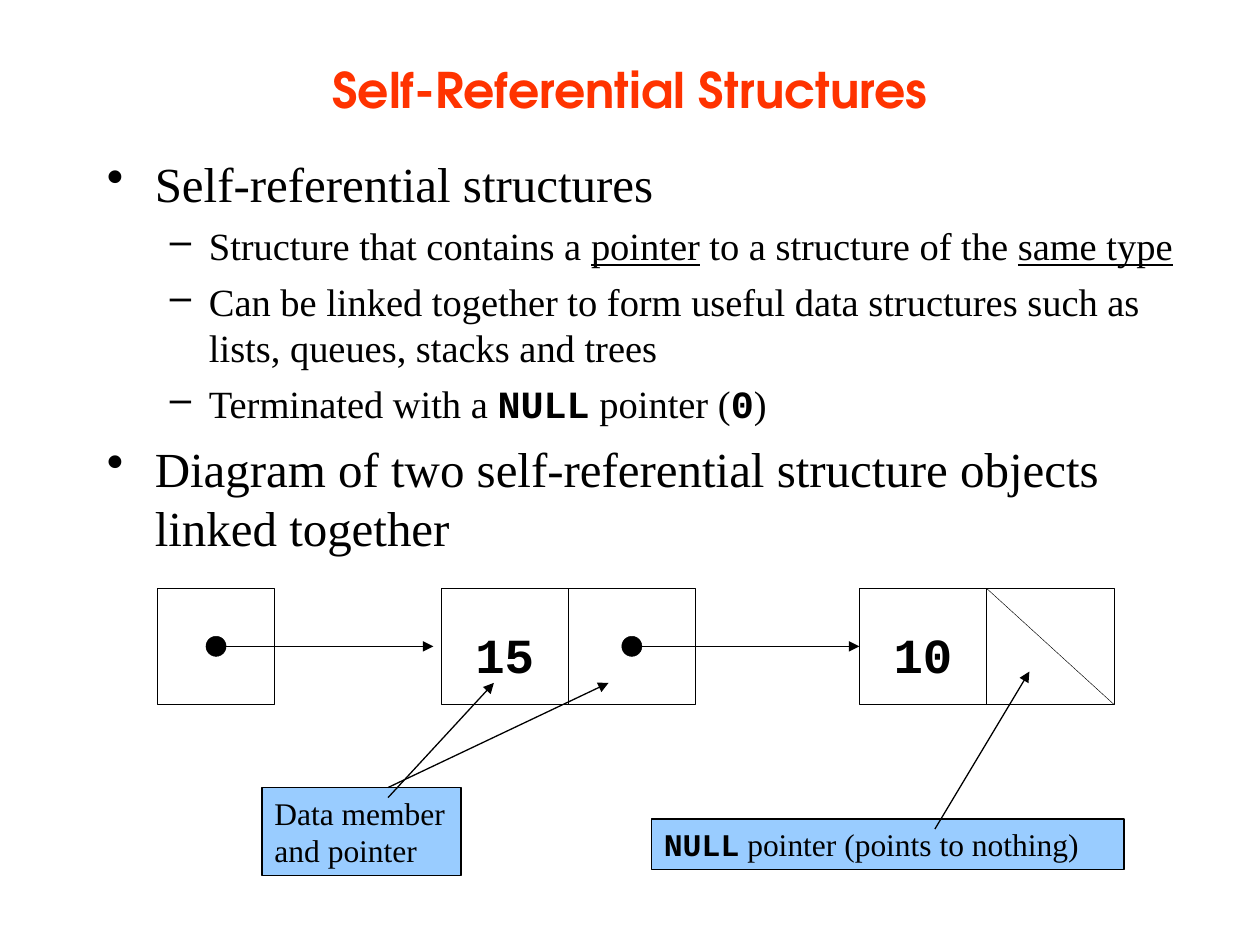
from lxml import etree
from pptx import Presentation
from pptx.dml.color import RGBColor
from pptx.enum.shapes import MSO_CONNECTOR, MSO_SHAPE
from pptx.enum.text import MSO_ANCHOR, PP_ALIGN
from pptx.oxml.ns import qn
from pptx.util import Inches, Pt

RECTANGLE, OVAL = MSO_SHAPE.RECTANGLE, MSO_SHAPE.OVAL
STRAIGHT = MSO_CONNECTOR.STRAIGHT
MIDDLE, TOP = MSO_ANCHOR.MIDDLE, MSO_ANCHOR.TOP
CENTER, LEFT = PP_ALIGN.CENTER, PP_ALIGN.LEFT
LEFT_SIDE = 1

BLACK, WHITE, RED, BLUE = "000000", "FFFFFF", "FF3300", "99CCFF"
SERIF, MONO, SANS = "Times New Roman", "Courier New", "TeX Gyre Adventor"
HAIRLINE, THIN = 0.25, 0.75

TITLE = "Self-Referential Structures"
# Each bullet: level, then runs of (text, style)
BULLETS = [
    (0, [("Self-referential structures", "")]),
    (1, [("Structure that contains a ", ""), ("pointer", "underline"),
         (" to a structure of the ", ""), ("same type", "underline")]),
    (1, [("Can be linked together to form useful data structures such as "
          "lists, queues, stacks and trees", "")]),
    (1, [("Terminated with a ", ""), ("NULL", "code"), (" pointer (", ""),
         ("0", "code"), (")", "")]),
    (0, [("Diagram of two self-referential structure objects linked together", "")]),
]
# Per level: mark, text indent (inches), hanging indent, size, space before (points)
LEVELS = [("•", 0.38, 0.38, 28, 7), ("–", 0.81, 0.31, 22, 5.5)]

ROW_TOP, ROW_HEIGHT, CELL_WIDTH = 4.67, 0.92, 1.01
ROW_MIDDLE = ROW_TOP + ROW_HEIGHT / 2
DOT = 0.16
HEAD_LEFT, HEAD_WIDTH = 1.25, 0.93
NODES = [(3.5, "15"), (6.82, "10")]
CALLOUTS = [
    ((5.17, 6.5, 3.75, 0.4), [("NULL", "code"), (" pointer (points to nothing)", "")],
     [((7.42, 6.58), (8.17, 5.33))]),
    ((2.08, 6.25, 1.58, 0.7), [("Data member and pointer", "")],
     [((3.08, 6.33), (3.92, 5.42)), ((3.08, 6.25), (4.83, 5.42))]),
]

presentation = Presentation()
presentation.slide_width, presentation.slide_height = Inches(10), Inches(7.5)
slide = presentation.slides.add_slide(presentation.slide_layouts[6])


def color(value):
    return RGBColor.from_string(value)


def add_runs(paragraph, runs, size):
    for text, style in runs:
        run = paragraph.add_run()
        run.text = text
        font = run.font
        font.size, font.color.rgb = Pt(size), color(BLACK)
        font.name = MONO if style == "code" else SERIF
        font.bold = style == "code"
        font.underline = style == "underline"


def add_text_box(left, top, width, height, anchor):
    text_frame = slide.shapes.add_textbox(
        Inches(left), Inches(top), Inches(width), Inches(height)).text_frame
    text_frame.word_wrap = True
    text_frame.vertical_anchor = anchor
    return text_frame


def add_bullet(paragraph, level):
    mark, indent, hanging, _, _ = LEVELS[level]
    paragraph.level = level
    properties = paragraph._p.get_or_add_pPr()
    properties.set("marL", str(Inches(indent)))
    properties.set("indent", str(-Inches(hanging)))
    etree.SubElement(properties, qn("a:buChar")).set("char", mark)


def add_shape(kind, left, top, width, height, fill, line_width=HAIRLINE):
    shape = slide.shapes.add_shape(
        kind, Inches(left), Inches(top), Inches(width), Inches(height))
    shape.shadow.inherit = False
    shape.fill.solid()
    shape.fill.fore_color.rgb = color(fill)
    shape.line.color.rgb = color(BLACK)
    shape.line.width = Pt(line_width)
    return shape


def add_line(start, end, line_width=HAIRLINE, arrow=True):
    connector = slide.shapes.add_connector(
        STRAIGHT, *(Inches(value) for value in (*start, *end)))
    connector.line.color.rgb = color(BLACK)
    connector.line.width = Pt(line_width)
    if arrow:
        line = connector.line._get_or_add_ln()
        etree.SubElement(line, qn("a:tailEnd")).set("type", "triangle")
    etree.SubElement(connector._element.spPr, qn("a:effectLst"))
    return connector


def add_cell(left, width=CELL_WIDTH):
    return add_shape(RECTANGLE, left, ROW_TOP, width, ROW_HEIGHT, WHITE)


def add_pointer(center, end):
    """Draw a dot in a cell and an arrow from it to the next node."""
    add_shape(OVAL, center - DOT / 2, ROW_MIDDLE - DOT / 2, DOT, DOT, BLACK)
    return add_line((center, ROW_MIDDLE), (end, ROW_MIDDLE))


# Title
title = add_text_box(0.75, 0.08, 8.5, 1.25, MIDDLE).paragraphs[0]
title.text = TITLE
title.alignment = CENTER
title_font = title.runs[0].font
title_font.name, title_font.size, title_font.bold = SANS, Pt(28), True
title_font.color.rgb = color(RED)

# Bullets
body = add_text_box(0.75, 1.17, 8.75, 5.92, TOP)
for index, (level, runs) in enumerate(BULLETS):
    paragraph = body.add_paragraph() if index else body.paragraphs[0]
    add_bullet(paragraph, level)
    size, space = LEVELS[level][3:]
    if index:
        paragraph.space_before = Pt(space)
    add_runs(paragraph, runs, size)

# Linked nodes
add_cell(HEAD_LEFT, HEAD_WIDTH)
data_cells = []
for left, value in NODES:
    cell = add_cell(left)
    cell.text_frame.margin_top, cell.text_frame.margin_bottom = Inches(0.12), 0
    cell.text_frame.vertical_anchor = MIDDLE
    paragraph = cell.text_frame.paragraphs[0]
    paragraph.alignment = CENTER
    add_runs(paragraph, [(value, "code")], 28)
    add_cell(left + CELL_WIDTH)
    data_cells.append(cell)

first_left, second_left = (left for left, _ in NODES)
add_pointer(HEAD_LEFT + HEAD_WIDTH / 2, first_left - 0.06)
link = add_pointer(first_left + 1.5 * CELL_WIDTH, second_left)
link.end_connect(data_cells[1], LEFT_SIDE)
add_line((second_left + CELL_WIDTH, ROW_TOP),
         (second_left + 2 * CELL_WIDTH, ROW_TOP + ROW_HEIGHT), arrow=False)

# Callouts
for box, runs, arrows in CALLOUTS:
    callout = add_shape(RECTANGLE, *box, BLUE, THIN)
    callout.text_frame.word_wrap = True
    callout.text_frame.vertical_anchor = TOP
    paragraph = callout.text_frame.paragraphs[0]
    paragraph.alignment = LEFT
    add_runs(paragraph, runs, 18)
    for start, end in arrows:
        add_line(start, end, THIN)

presentation.save("out.pptx")
